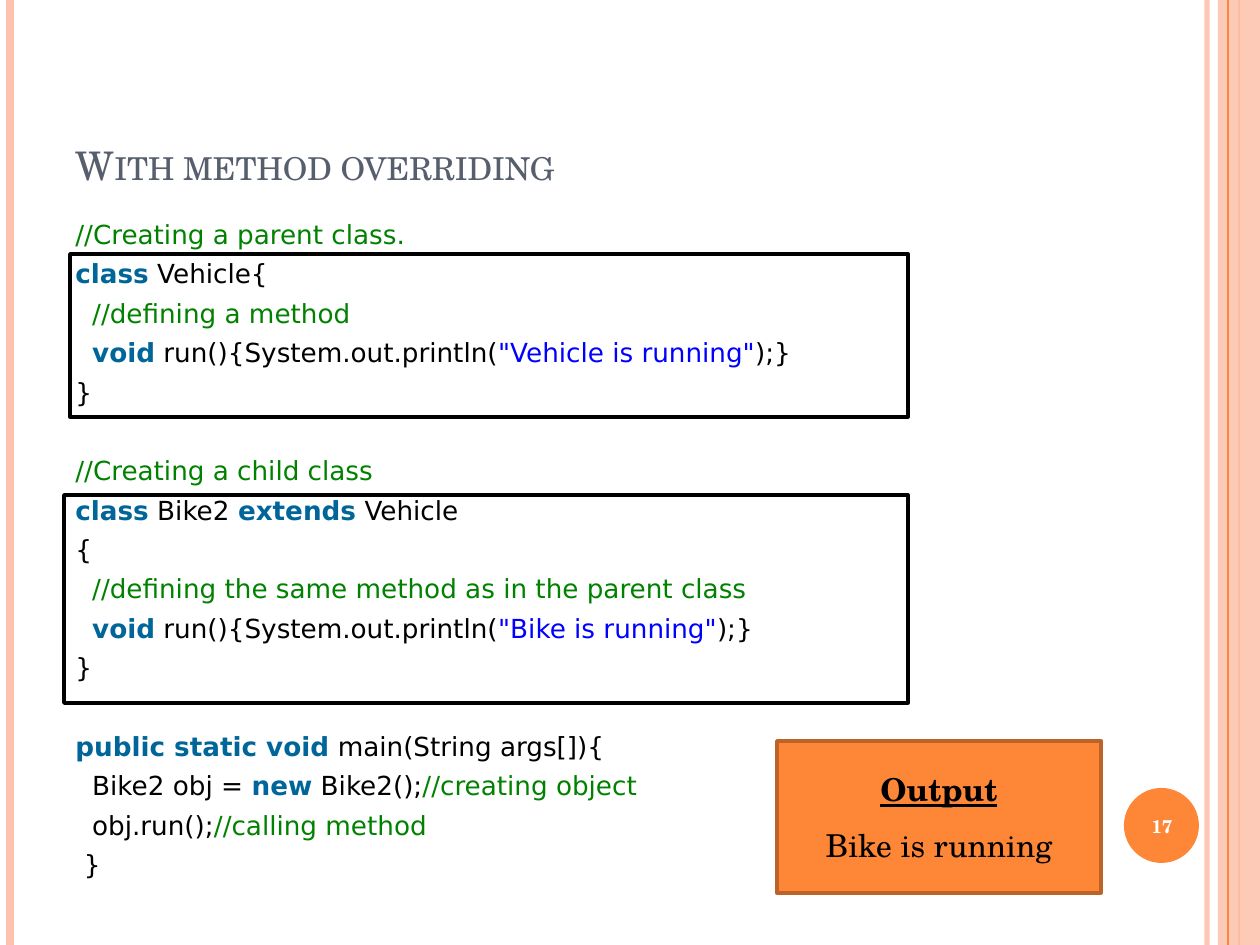
from dataclasses import dataclass
from lxml import etree
from pptx import Presentation
from pptx.dml.color import RGBColor
from pptx.enum.shapes import MSO_CONNECTOR as Connector, MSO_SHAPE as Shape
from pptx.enum.text import MSO_ANCHOR as Anchor, MSO_AUTO_SIZE as AutoSize, PP_ALIGN as Align
from pptx.oxml.ns import qn
from pptx.util import Pt


@dataclass(frozen=True)
class Theme:
    serif: str = "TeX Gyre Schola"
    sans: str = "DejaVu Sans"
    black: str = "000000"
    white: str = "FFFFFF"
    slate: str = "575F6D"
    orange: str = "FE8637"
    rust: str = "BC6329"
    peach: str = "FEC3AE"
    comment: str = "008200"
    keyword: str = "006699"
    string: str = "0000FF"
    title_size: float = 22.5
    code_size: float = 15
    output_size: float = 18
    number_size: float = 10.5


theme = Theme()
PX = 914400 / 126


def px(*lengths):
    return [round(length * PX) for length in lengths]


def add_run(paragraph, text, size, font, color, bold=False):
    run = paragraph.add_run()
    run.text = text
    run.font.size = Pt(size)
    run.font.name = font
    run.font.bold = bold
    run.font.color.rgb = RGBColor.from_string(color)
    return run


deck = Presentation()
deck.slide_width, deck.slide_height = px(1260, 945)
slide = deck.slides.add_slide(deck.slide_layouts[5])
shapes = slide.shapes

# Side stripes and page-number disc: x, colour, width in points, opacity
stripes = [
    (1207, theme.peach, 3, 93),
    (10, theme.peach, 4.5, 100),
    (1239, theme.orange, 1.5, 100),
    (1228, theme.orange, 0.75, 100),
]
bands = [
    (Shape.RECTANGLE, (1218, 0, 42, 945), theme.peach, 87),
    (Shape.OVAL, (1124, 788, 75, 75), theme.orange, 100),
]
painted = []
for x, color, width, opacity in stripes[:3]:
    stripe = shapes.add_connector(Connector.STRAIGHT, *px(x, 0, x, 945))
    painted.append((stripe, stripe.line, color, width, opacity))
for kind, place, color, opacity in bands:
    band = shapes.add_shape(kind, *px(*place))
    band.shadow.inherit = False
    band.line.fill.background()
    painted.append((band, band, color, None, opacity))
    if kind == Shape.RECTANGLE:
        x, color, width, opacity = stripes[3]
        stripe = shapes.add_connector(Connector.STRAIGHT, *px(x, 0, x, 945))
        painted.append((stripe, stripe.line, color, width, opacity))
for part, paint, color, width, opacity in painted:
    paint.fill.solid()
    paint.fill.fore_color.rgb = RGBColor.from_string(color)
    if width:
        part.line.width = Pt(width)
        etree.SubElement(part._element.spPr, qn("a:effectLst"))
    if opacity < 100:
        tint = next(part._element.spPr.iter(qn("a:srgbClr")))
        etree.SubElement(tint, qn("a:alpha")).set("val", str(opacity * 1000))

# Title
title = shapes.title
title.left, title.top, title.width, title.height = px(63, 38, 1029, 157)
heading = title.text_frame
heading.auto_size = AutoSize.NONE
heading.vertical_anchor = Anchor.BOTTOM
heading.paragraphs[0].alignment = Align.LEFT
title_run = add_run(heading.paragraphs[0], "With method overriding",
                    theme.title_size, theme.serif, theme.slate)
title_run.font._element.set("cap", "small")

# Code listing: blocks of lines, each an indent in spaces and its (token, text) runs
plain, keyword, comment, string = theme.black, theme.keyword, theme.comment, theme.string
parent_class = [
    (0, [(comment, "//Creating a parent class.")]),
    (0, [(keyword, "class"), (plain, " Vehicle{")]),
    (2, [(comment, "//defining a method")]),
    (2, [(keyword, "void"), (plain, " run(){System.out.println("),
         (string, '"Vehicle is running"'), (plain, ");}")]),
    (0, [(plain, "}")]),
]
child_class = [
    (0, [(comment, "//Creating a child class")]),
    (0, [(keyword, "class"), (plain, " Bike2 "), (keyword, "extends"), (plain, " Vehicle")]),
    (0, [(plain, "{")]),
    (2, [(comment, "//defining the same method as in the parent class")]),
    (2, [(keyword, "void"), (plain, " run(){System.out.println("),
         (string, '"Bike is running"'), (plain, ");}")]),
    (0, [(plain, "}")]),
]
main_method = [
    (0, [(keyword, "public static void"), (plain, " main(String args[]){")]),
    (2, [(plain, "Bike2 obj = "), (keyword, "new"), (plain, " Bike2();"),
         (comment, "//creating object")]),
    (2, [(plain, "obj.run();"), (comment, "//calling method")]),
    (1, [(plain, "}")]),
]
LINE, GAP = 18, 4.5
SPACE_WIDTH = Pt(theme.code_size * 0.32)
listing = shapes.add_textbox(*px(63, 212, 1029, 672)).text_frame
listing.word_wrap = True
line = listing.paragraphs[0]
for block in (parent_class, child_class, main_method):
    for row, (indent, tokens) in enumerate(block):
        if line.runs:
            line = listing.add_paragraph()
            line.space_before = Pt(GAP if row else LINE + 2 * GAP)
        line.line_spacing = Pt(LINE)
        line._p.get_or_add_pPr().set("marL", str(indent * SPACE_WIDTH))
        for color, text in tokens:
            add_run(line, text, theme.code_size, theme.sans, color, color == keyword)

# Page number
page = shapes.add_textbox(*px(1120, 790, 84, 72)).text_frame
page.word_wrap = True
page.vertical_anchor = Anchor.MIDDLE
page.paragraphs[0].alignment = Align.CENTER
add_run(page.paragraphs[0], "17", theme.number_size, theme.serif, theme.white, True)

# Frames around the two classes, and the output panel
for place, fill, border in [
    ((70, 254, 838, 163), None, theme.black),
    ((64, 495, 844, 208), None, theme.black),
    ((777, 741, 324, 152), theme.orange, theme.rust),
]:
    panel = shapes.add_shape(Shape.RECTANGLE, *px(*place))
    panel.shadow.inherit = False
    panel.line.color.rgb = RGBColor.from_string(border)
    panel.line.width = Pt(2)
    if fill:
        panel.fill.solid()
        panel.fill.fore_color.rgb = RGBColor.from_string(fill)
    else:
        panel.fill.background()

output = panel.text_frame
output.vertical_anchor = Anchor.MIDDLE
label, result = output.paragraphs[0], output.add_paragraph()
label.alignment = result.alignment = Align.CENTER
label.space_after = Pt(10)
label_run = add_run(label, "Output", theme.output_size, theme.serif, theme.black, True)
label_run.font.underline = True
add_run(result, "Bike is running", theme.output_size, theme.serif, theme.black)

deck.save("out.pptx")
